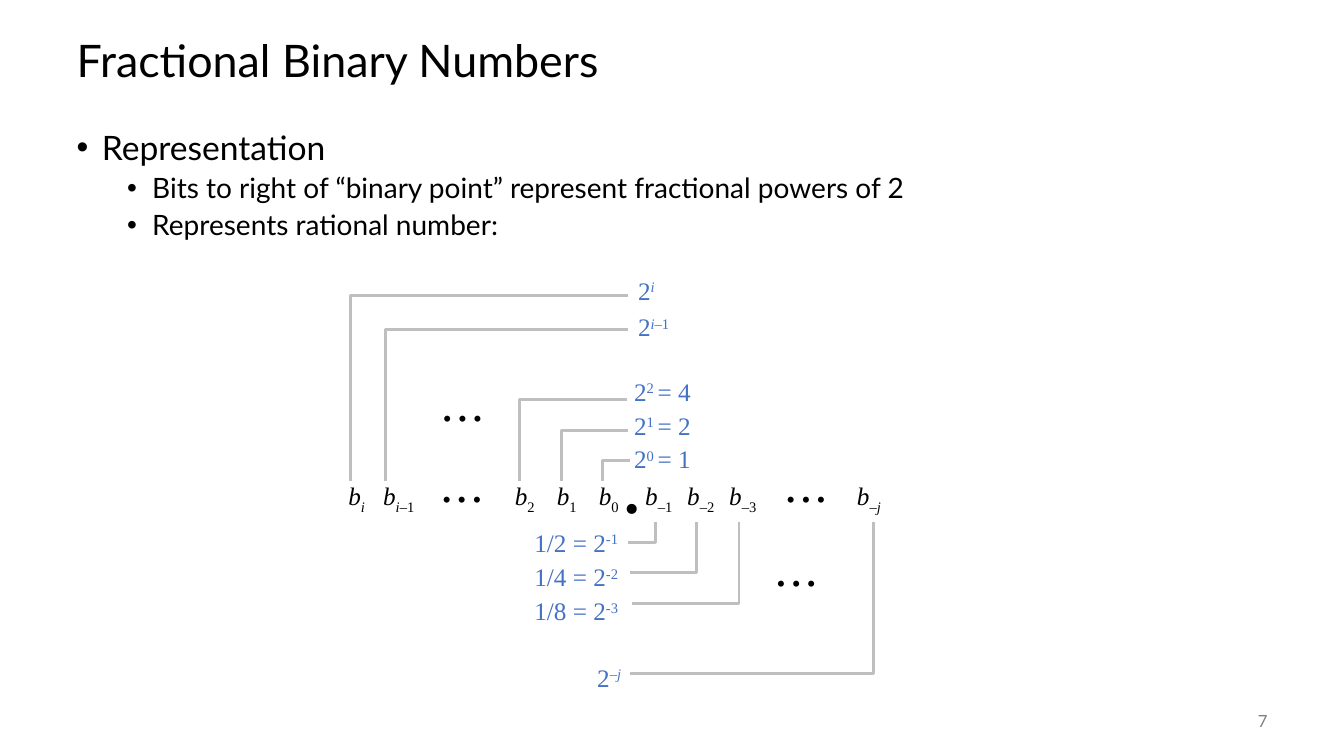
from lxml import etree
from pptx import Presentation
from pptx.dml.color import RGBColor
from pptx.enum.shapes import MSO_SHAPE
from pptx.enum.text import MSO_ANCHOR, MSO_AUTO_SIZE, PP_ALIGN
from pptx.oxml.ns import qn
from pptx.util import Inches, Pt

TITLE = "Fractional Binary Numbers"
# text, level, size, left margin, space before
POINTS = [
    ("Representation", 0, 24, 0.25, 0),
    ("Bits to right of “binary point” represent fractional powers of 2", 1, 20, 0.75, 5),
    ("Represents rational number:", 1, 20, 0.75, 5),
]
PAGE = "7"
SANS, SERIF = "Lato", "Times New Roman"
BLACK, WHITE, BLUE, LINE, GRAY = "000000", "FFFFFF", "4472C4", "BFBFBF", "808080"

# Runs are (text, marks): i = italic, _ = subscript, ^ = superscript
DOTS = [("• • •", "")]
POINT = [(".", "")]
B = ("b", "i")
BITS = [
    [B, ("i", "i_")],
    [B, ("i", "i_"), ("–1", "_")],
    DOTS,
    [B, ("2", "_")],
    [B, ("1", "_")],
    [B, ("0", "_")],
    POINT,
    [B, ("–1", "_")],
    [B, ("–2", "_")],
    [B, ("–3", "_")],
    DOTS,
    [B, ("–", "_"), ("j", "i_")],
]
# runs, label (left, top, width), leader (start x, level y, bit x)
ABOVE = [
    ([("2", ""), ("0 ", "^"), ("= 1", "")], (6.19, 4.35, 0.79), (6.25, 4.57, 5.98)),
    ([("2", ""), ("1 ", "^"), ("= 2", "")], (6.19, 4.02, 0.79), (6.23, 4.27, 5.57)),
    ([("2", ""), ("2 ", "^"), ("= 4", "")], (6.19, 3.68, 0.79), (6.22, 3.96, 5.15)),
    ([("2", ""), ("i", "i^")], (6.23, 2.68, 0.37), (6.23, 2.93, 3.48)),
    ([("2", ""), ("i", "i^"), ("–1", "^")], (6.23, 3.04, 0.54), (6.23, 3.27, 3.82)),
]
BELOW = [
    ([("1/2 = 2", ""), ("-1", "^")], (5.17, 5.18, 1.06), (6.23, 5.38, 6.5)),
    ([("1/4 = 2", ""), ("-2", "^")], (5.17, 5.52, 1.06), (6.25, 5.68, 6.91)),
    ([("1/8 = 2", ""), ("-3", "^")], (5.17, 5.86, 1.06), (6.27, 5.99, 7.33)),
    ([("2", ""), ("–", "^"), ("j", "i^")], (5.8, 6.52, 0.46), (6.25, 6.68, 8.66)),
]
SIDES = [(ABOVE, 4.77, PP_ALIGN.LEFT), (BELOW, 5.18, PP_ALIGN.RIGHT)]
CELL, HIGH, ROW, GAP = 5 / 12, 0.58, 4.65, 0.08


def paint(text):
    return RGBColor.from_string(text)


def style(para, size, face, color, align=PP_ALIGN.LEFT):
    para.alignment = align
    font = para.font
    font.size, font.name = Pt(size), face
    font.color.rgb = paint(color)


def write(frame, runs, size, color, align):
    """Fill a one-line frame with marked runs."""
    frame.word_wrap = False
    para = frame.paragraphs[0]
    style(para, size, SERIF, color, align)
    for text, marks in runs:
        run = para.add_run()
        run.text = text
        if "i" in marks:
            run.font.italic = True
        shift = "-25000" if "_" in marks else "30000" if "^" in marks else None
        if shift:
            run._r.get_or_add_rPr().set("baseline", shift)


def place(shape, *box):
    shape.left, shape.top, shape.width, shape.height = map(Inches, box)


def cell(runs, left, top, width, size=18):
    box = shapes.add_shape(MSO_SHAPE.RECTANGLE, *map(Inches, (left, top, width, HIGH)))
    box.shadow.inherit = False
    box.fill.solid()
    box.fill.fore_color.rgb = paint(WHITE)
    box.line.fill.background()
    box.text_frame.vertical_anchor = MSO_ANCHOR.MIDDLE
    write(box.text_frame, runs, size, BLACK, PP_ALIGN.CENTER)
    return box


def leader(start, level, bit, end):
    """Draw an elbow from a label to its bit."""
    form = shapes.build_freeform(Inches(start), Inches(level))
    form.add_line_segments(
        [(Inches(bit), Inches(level)), (Inches(bit), Inches(end))], close=False)
    elbow = form.convert_to_shape()
    elbow.shadow.inherit = False
    elbow.fill.background()
    elbow.line.color.rgb = paint(LINE)
    elbow.line.width = Pt(2)


deck = Presentation()
deck.slide_width, deck.slide_height = Inches(13.33), Inches(7.5)
slide = deck.slides.add_slide(deck.slide_layouts[1])
shapes = slide.shapes

title, body = shapes.title, slide.placeholders[1]
place(title, 0.66, 0.25, 12, 0.75)
title.text_frame.text = TITLE
title.text_frame.vertical_anchor = MSO_ANCHOR.MIDDLE
head = title.text_frame.paragraphs[0]
head.line_spacing = 0.9
style(head, 32, SANS, BLACK)

place(body, 0.66, 1.25, 12, 5.5)
frame = body.text_frame
frame.auto_size = MSO_AUTO_SIZE.NONE
for n, (text, level, size, margin, space) in enumerate(POINTS):
    para = frame.add_paragraph() if n else frame.paragraphs[0]
    para.text, para.level = text, level
    para.line_spacing, para.space_before = 0.9, Pt(space)
    props = para._p.get_or_add_pPr()
    props.set("marL", str(Inches(margin)))
    props.set("indent", str(Inches(-0.25)))
    etree.SubElement(props, qn("a:buFont")).set("typeface", "Arial")
    etree.SubElement(props, qn("a:buChar")).set("char", "•")
    style(para, size, SANS, BLACK)

left = 3.33
for runs in BITS:
    if runs is POINT:
        mark = cell(runs, left - 0.02, ROW - 0.09, GAP, 44)
        mark.text_frame.paragraphs[0].font.bold = True
        left += GAP
    else:
        width = CELL * (2 if runs is DOTS else 1)
        cell(runs, left, ROW, width)
        left += width

for terms, end, align in SIDES:
    for runs, (x, y, width), (start, level, bit) in terms:
        label = shapes.add_textbox(*map(Inches, (x, y, width, 0.4)))
        label.text_frame.auto_size = MSO_AUTO_SIZE.SHAPE_TO_FIT_TEXT
        write(label.text_frame, runs, 18, BLUE, align)
        leader(start, level, bit, end)

for x, y in [(4.17, 3.85), (7.48, 5.49)]:
    cell(DOTS, x, y, 2 * CELL)

page = shapes.add_textbox(*map(Inches, (11.67, 6.95, 1, 0.4))).text_frame
page.text, page.word_wrap = PAGE, True
page.vertical_anchor = MSO_ANCHOR.MIDDLE
style(page.paragraphs[0], 12, SANS, GRAY, PP_ALIGN.RIGHT)

deck.save("out.pptx")
